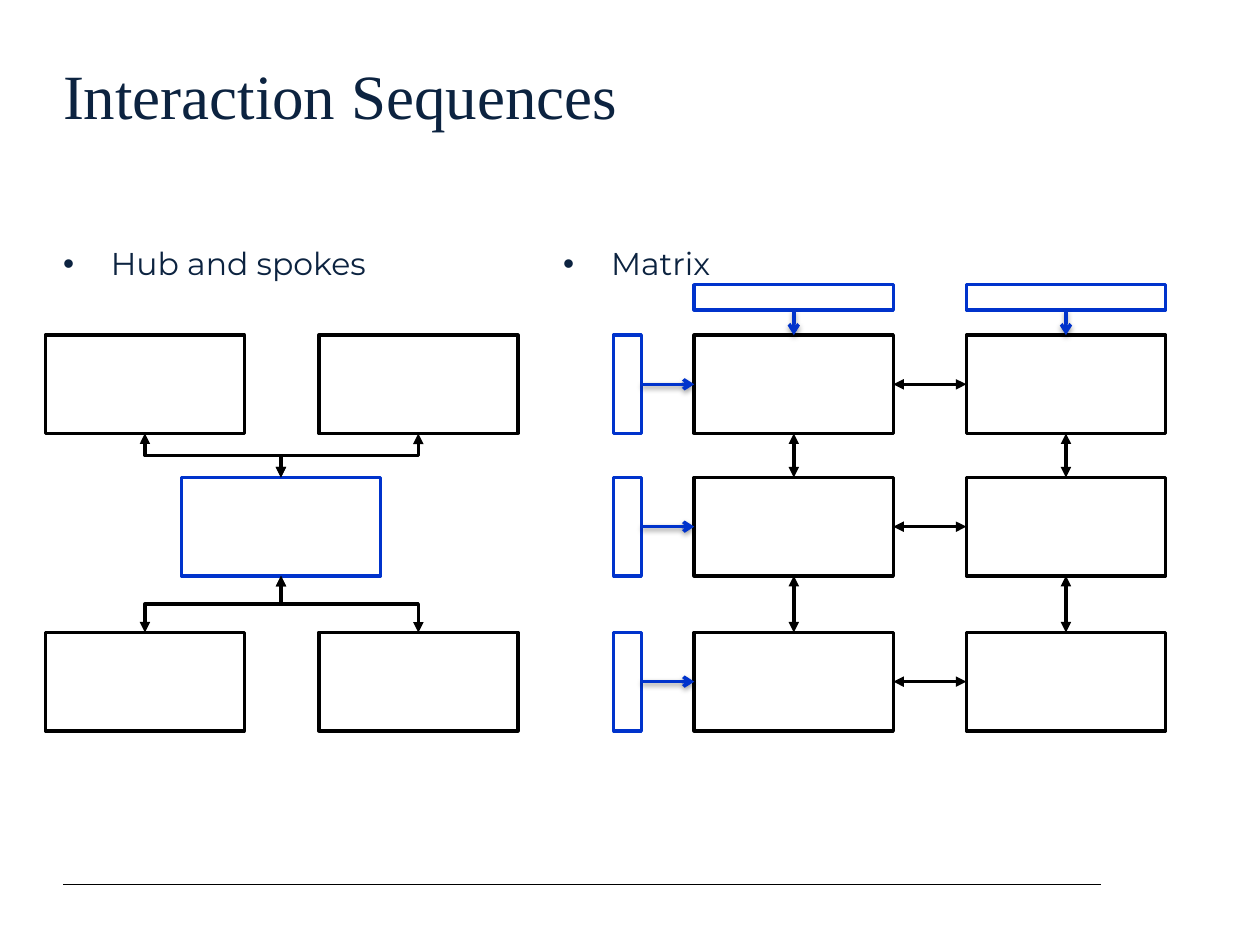
from dataclasses import dataclass
from typing import Optional

from lxml import etree
from pptx import Presentation
from pptx import util as u
from pptx.dml.color import RGBColor
from pptx.enum import shapes as kinds, text as texts
from pptx.oxml import ns

COLORS = {"ink": "0C2340", "black": "000000", "blue": "0033CC", "white": "FFFFFF"}
BOX_W, BOX_H = 1.58, 0.78
KEY_W, KEY_H = 0.22, 0.2
ROWS = (2.66, 3.79, 5.02)
HUB_COLUMNS = (0.36, 2.53)
MATRIX_COLUMNS = (5.51, 7.67)
HUB_LEFT, KEY_LEFT, KEY_TOP = 1.44, 4.87, 2.26
TOP, LEFT, BOTTOM, RIGHT = range(4)


@dataclass
class Box:
    left: float
    top: float
    width: float = BOX_W
    height: float = BOX_H
    color: str = "black"

    @property
    def center(self) -> float:
        return self.left + self.width / 2

    @property
    def bottom(self) -> float:
        return self.top + self.height


@dataclass
class Arrow:
    color: str
    tail: str
    head: Optional[str] = None
    shadow: bool = False


TWO_WAY = Arrow("black", "triangle", head="triangle")
INPUT = Arrow("blue", "arrow", shadow=True)


def rgb(name: str) -> RGBColor:
    return RGBColor.from_string(COLORS[name])


def add_child(parent, tag: str, **attributes: str):
    return etree.SubElement(parent, ns.qn(tag), attributes)


def draw_box(slide, box: Box):
    rect = slide.shapes.add_shape(
        kinds.MSO_SHAPE.RECTANGLE,
        u.Inches(box.left), u.Inches(box.top), u.Inches(box.width), u.Inches(box.height),
    )
    rect.shadow.inherit = False
    rect.fill.solid()
    rect.fill.fore_color.rgb = rgb("white")
    rect.line.color.rgb = rgb(box.color)
    rect.line.width = u.Pt(2)
    return rect


def style_line(line, color: str, width: float):
    line.line.color.rgb = rgb(color)
    line.line.width = u.Pt(width)
    return add_child(line._element.spPr, "a:effectLst")


def style_arrow(line, arrow: Arrow) -> None:
    effects = style_line(line, arrow.color, 2)
    outline = line.line._get_or_add_ln()
    if arrow.head:
        add_child(outline, "a:headEnd", type=arrow.head)
    add_child(outline, "a:tailEnd", type=arrow.tail)
    if arrow.shadow:
        shadow = add_child(
            effects, "a:outerShdw", blurRad=str(u.Pt(3.1)), dist=str(u.Pt(1.6)),
            dir="5400000", rotWithShape="0",
        )
        add_child(add_child(shadow, "a:srgbClr", val=COLORS["black"]), "a:alpha", val="38000")


def join(slide, start, start_side: int, end, end_side: int, arrow: Arrow) -> None:
    line = slide.shapes.add_connector(kinds.MSO_CONNECTOR.STRAIGHT, 0, 0, 0, 0)
    line.begin_connect(start, start_side)
    line.end_connect(end, end_side)
    style_arrow(line, arrow)


def draw_spoke(slide, x1: float, y1: float, x2: float, y2: float) -> None:
    dx, dy = x2 - x1, y2 - y1
    mid_x, mid_y = (x1 + x2) / 2, (y1 + y2) / 2
    run = abs(dy) / 2
    rise = abs(dx) / 2 * (-1 if dx * dy > 0 else 1)
    line = slide.shapes.add_connector(
        kinds.MSO_CONNECTOR.ELBOW,
        u.Inches(mid_x - run), u.Inches(mid_y - rise),
        u.Inches(mid_x + run), u.Inches(mid_y + rise),
    )
    line._element.spPr.xfrm.set("rot", str((90 if dy > 0 else 270) * 60000))
    style_arrow(line, TWO_WAY)


def write(frame, wording: str, font: str, size: int):
    frame.word_wrap = True
    frame.auto_size = texts.MSO_AUTO_SIZE.NONE
    frame.vertical_anchor = texts.MSO_ANCHOR.TOP
    frame.margin_left = frame.margin_top = 0
    frame.margin_right, frame.margin_bottom = u.Inches(0.1), u.Inches(0.05)
    paragraph = frame.paragraphs[0]
    paragraph.alignment = texts.PP_ALIGN.LEFT
    run = paragraph.add_run()
    run.text = wording
    run.font.name = font
    run.font.size = u.Pt(size)
    run.font.color.rgb = rgb("ink")
    return paragraph


def draw_bullet(slide, wording: str, left: float, width: float) -> None:
    body = slide.shapes.add_textbox(
        u.Inches(left), u.Inches(1.94), u.Inches(width), u.Inches(3.37)
    )
    paragraph = write(body.text_frame, wording, "Montserrat", 18)
    properties = paragraph._p.get_or_add_pPr()
    properties.set("marL", str(u.Inches(0.38)))
    properties.set("indent", str(-u.Inches(0.38)))
    add_child(properties, "a:buFont", typeface="Arial")
    add_child(properties, "a:buChar", char="•")


def draw_hub(slide) -> None:
    hub = Box(HUB_LEFT, ROWS[1], color="blue")
    draw_box(slide, hub)
    for left in HUB_COLUMNS:
        upper, lower = Box(left, ROWS[0]), Box(left, ROWS[2])
        draw_box(slide, upper)
        draw_box(slide, lower)
        draw_spoke(slide, hub.center, hub.top, upper.center, upper.bottom)
        draw_spoke(slide, hub.center, hub.bottom, lower.center, lower.top)


def draw_matrix(slide) -> None:
    row_keys = [draw_box(slide, Box(KEY_LEFT, top, width=KEY_W, color="blue")) for top in ROWS]
    column_keys = [
        draw_box(slide, Box(left, KEY_TOP, height=KEY_H, color="blue")) for left in MATRIX_COLUMNS
    ]
    cells = [[draw_box(slide, Box(left, top)) for left in MATRIX_COLUMNS] for top in ROWS]
    for key, (first, second) in zip(row_keys, cells):
        join(slide, key, RIGHT, first, LEFT, INPUT)
        join(slide, first, RIGHT, second, LEFT, TWO_WAY)
    for key, column in zip(column_keys, zip(*cells)):
        join(slide, key, BOTTOM, column[0], TOP, INPUT)
        for above, below in zip(column, column[1:]):
            join(slide, above, BOTTOM, below, TOP, TWO_WAY)


def main() -> None:
    deck = Presentation()
    deck.slide_width, deck.slide_height = u.Inches(10), u.Inches(7.5)
    slide = deck.slides.add_slide(deck.slide_layouts[5])

    footer_rule = slide.shapes.add_connector(
        kinds.MSO_CONNECTOR.STRAIGHT,
        u.Inches(0.5), u.Inches(7.02), u.Inches(8.74), u.Inches(7.02),
    )
    style_line(footer_rule, "black", 0.75)

    title = slide.shapes.title
    title.left, title.top = u.Inches(0.5), u.Inches(0.45)
    title.width, title.height = u.Inches(7.96), u.Inches(0.93)
    write(title.text_frame, "Interaction Sequences", "Times New Roman", 36)

    draw_bullet(slide, "Hub and spokes", 0.5, 3.75)
    draw_bullet(slide, "Matrix", 4.47, 3.99)
    draw_hub(slide)
    draw_matrix(slide)
    deck.save("out.pptx")


if __name__ == "__main__":
    main()
